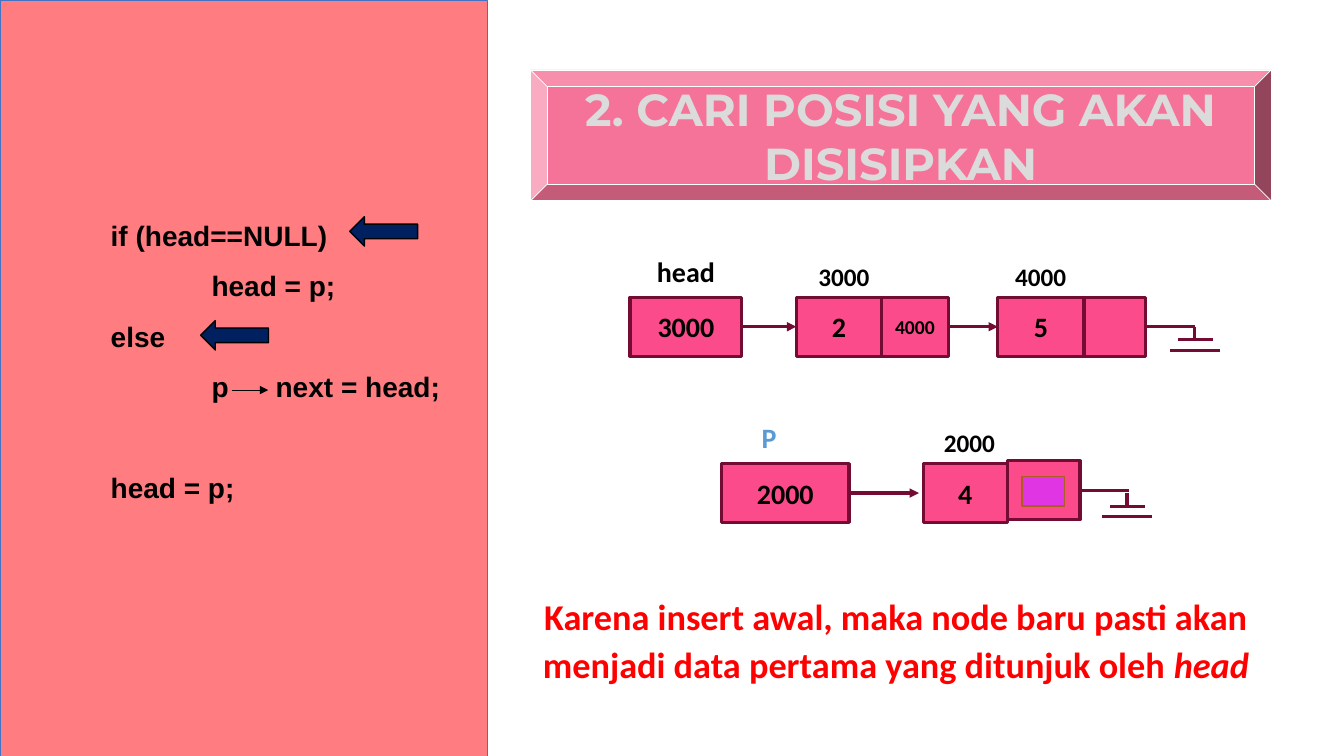
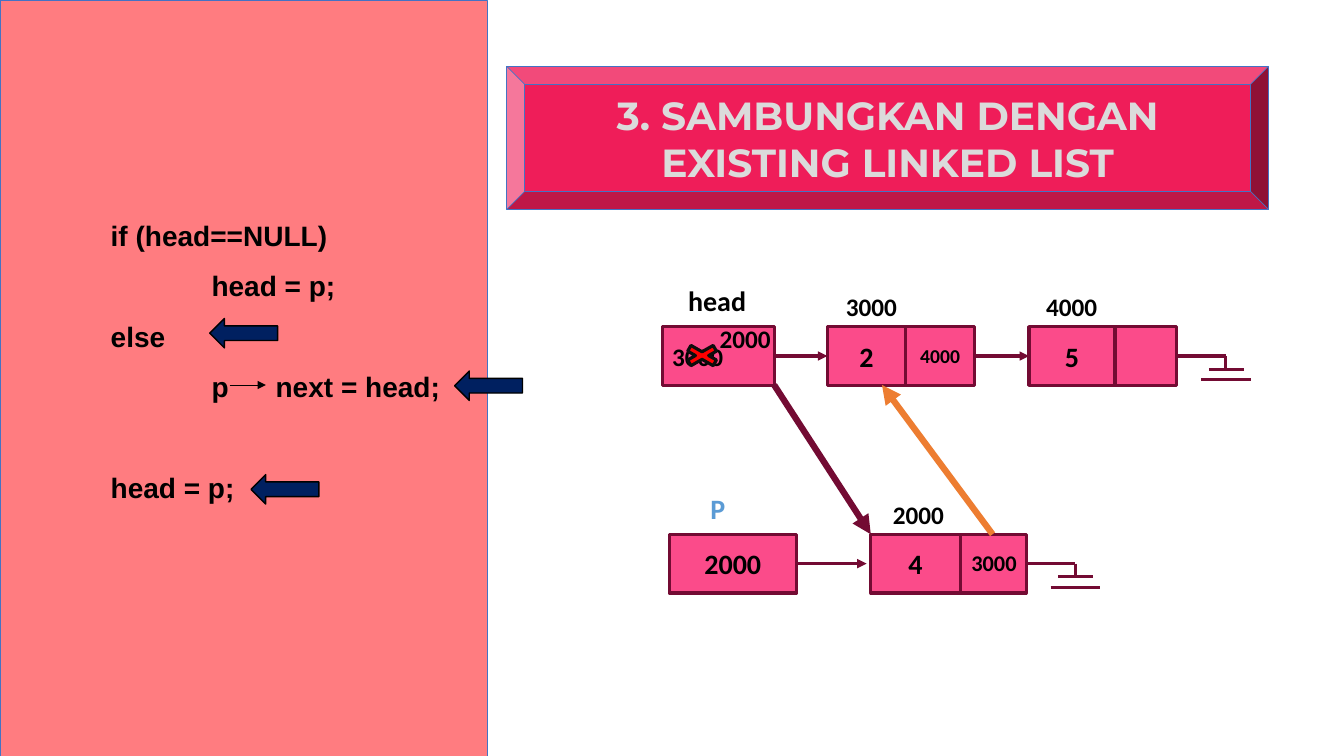
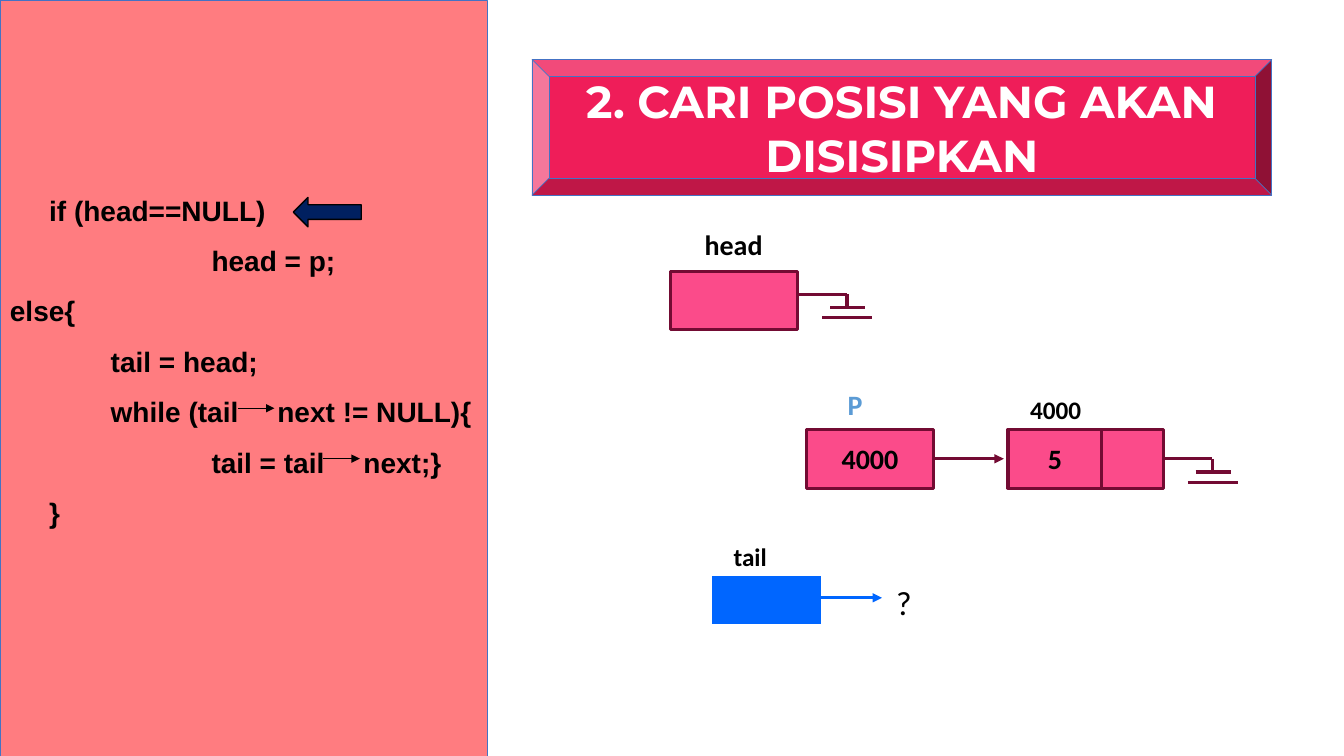
import pptx
import pptx.util
import pptx.dml.color
import pptx.oxml.ns
import pptx.enum.shapes
import pptx.enum.text
import lxml.etree

Pt = pptx.util.Pt
qn = pptx.oxml.ns.qn
KIND = pptx.enum.shapes.MSO_SHAPE
ALIGN = pptx.enum.text.PP_ALIGN
MID = pptx.enum.text.MSO_ANCHOR.MIDDLE
LEFT, MIDDLE = ALIGN.LEFT, ALIGN.CENTER

# Shared look
PINK, WINE, BLUE, BLACK = "FB4B8A", "730B33", "0066FF", "000000"
EDGE, SILVER = "4472C4", "DBDBDB"
HIGH = 42       # height of a node
LINE = 36       # pitch of the code lines
BOLD = dict(name="Calibri", bold=True)
STYLES = {      # font, colour, alignment, line spacing
    "name": (dict(BOLD, size=Pt(20)), BLACK, MIDDLE, 0.9),
    "addr": (dict(BOLD, size=Pt(18)), BLACK, MIDDLE, 1),
    "next": (dict(BOLD, size=Pt(16)), BLACK, MIDDLE, 1),
    "ptr": (dict(BOLD, size=Pt(20)), "5B9BD5", LEFT, 0.9),
    "note": (dict(BOLD, size=Pt(25.9)), "FF0000", MIDDLE, 1.1),
    "ask": (dict(name="Calibri", size=Pt(24)), BLACK, LEFT, 1.5),
}

# Code lines: indent, space before, text; "→" leaves room for a drawn arrow
FRONT = dict(gap=28, lines=[
    (72, 0, "if (head==NULL)"), (144, 0, "head = p;"), (72, 0, "else"),
    (144, 0, "p→next = head;"), (72, LINE, "head = p;")])
BACK = dict(gap=22.2, lines=[
    (28, 0, "if (head==NULL)"), (144, 0, "head = p;"), (0, 0, "else{"),
    (72, 0, "tail = head;"), (72, 0, "while (tail→next != NULL){"),
    (144, 0, "tail = tail→next;}"), (28, 0, "}")])

# Rows: nodes are (left, cells), cells are (width, text, size, alignment)
SLIDES = [
    dict(
        title=((379, 50, 529, 93.5), "F57398", "FFFFFF", SILVER, 32,
               "2. CARI POSISI YANG AKAN DISISIPKAN"),
        code=FRONT, tips=[(165.6, 278.6)],
        marks=[(143.3, 229), (249.8, 154.8)],
        rows=[
            dict(y=212.4, nodes=[
                (450, [(80, "3000", 20)]),
                (568.8, [(61, "2", 20), (47.5, "4000", 14)]),
                (712.8, [(61.5, "5", 20), (44, "", 14)])]),
            dict(y=331.2, gap=3, lift=2, tap=19, shift=(-1.5, 2), nodes=[
                (515.5, [(91, "2000", 20)]),
                (659.5, [(60, "4", 20), (52, "", 14)])])],
        shapes=[(KIND.RECTANGLE, (730, 340.5, 30.5, 21), "DF35E3", "AF5C24", 1)],
        labels=[
            ("ptr", (537, 299.5, 47, 32), "P"),
            ("addr", (665, 301.5, 55, 29), "2000"),
            ("name", (455.8, 180.7, 68.4, 32), "head"),
            ("addr", (572.4, 183, 61, 29), "3000"),
            ("addr", (712.8, 183, 61, 29), "4000"),
            ("note", (365, 417.6, 550, 79), "Karena insert awal, maka node baru pasti "
             "akan menjadi data pertama yang ditunjuk oleh *head")]),
    dict(
        title=((362, 47.5, 544, 102), "EF1D59", EDGE, SILVER, 28,
               "3. SAMBUNGKAN DENGAN EXISTING LINKED LIST"),
        code=FRONT, tips=[(164, 275)],
        marks=[(149.8, 227.5), (324.7, 265), (179.3, 339)],
        rows=[
            dict(y=233.3, nodes=[
                (473, [(80, "3000", 18, LEFT)]),
                (591, [(56, "2", 20), (49, "4000", 14)]),
                (735, [(61.5, "5", 20), (44, "", 14)])]),
            dict(y=381.6, gap=3, nodes=[
                (478, [(91, "2000", 20)]),
                (622, [(64, "4", 20), (47, "", 14)])])],
        shapes=[(KIND.MATH_MULTIPLY, (484, 244, 35, 20), "FF0000", "0D0D0D", 2.25)],
        links=[((709, 381.6, 630, 275), "ED7D31", 4.5),
               ((553, 275, 622, 381.6), WINE, 4.5)],
        labels=[
            ("ptr", (500.4, 350, 47, 32), "P"),
            ("addr", (628.5, 353, 55, 29), "2000"),
            ("name", (478, 201.6, 68.4, 32), "head"),
            ("addr", (592, 204.5, 61, 29), "3000"),
            ("addr", (735, 204.5, 61, 29), "4000"),
            ("addr", (504.7, 227.5, 55, 29), "2000"),
            ("next", (684, 388.8, 52, 27), "3000")]),
    dict(
        title=((380, 42.5, 528.5, 97), "EF1D59", EDGE, "FFFFFF", 32,
               "2. CARI POSISI YANG AKAN DISISIPKAN"),
        code=BACK, tips=[(170, 291.6), (231, 327.6)],
        marks=[(209.5, 141)],
        rows=[
            dict(y=193.7, tap=16.5, nodes=[(479, [(91, "", 20)])]),
            dict(y=306.7, gap=3, nodes=[
                (576, [(91, "4000", 20)]),
                (720, [(67, "5", 20), (44, "", 14)])])],
        shapes=[(KIND.RECTANGLE, (507.6, 410.4, 80, 36.7), BLUE, "FFFFFF", 2.25)],
        links=[((579.6, 427, 630, 427), BLUE, 2.25)],
        labels=[
            ("name", (481, 162, 86, 32), "head"),
            ("ptr", (598.3, 275.8, 47, 32), "P"),
            ("addr", (726.5, 278, 55, 29), "4000"),
            ("addr", (505.4, 383, 61, 29), "tail"),
            ("ask", (633, 397.5, 30, 46), "?")]),
]


def paint(fmt, tone):
    fmt.fill.solid()
    fmt.fill.fore_color.rgb = pptx.dml.color.RGBColor.from_string(tone)


def write(para, text, font, tone, **more):
    run = para.add_run()
    run.text = text
    for key, val in dict(font, **more).items():
        setattr(run.font, key, val)
    paint(run.font, tone)
    return run


def shape(slide, kind, box, fill, edge, width):
    item = slide.shapes.add_shape(kind, *map(Pt, box))
    item.shadow.inherit = False
    paint(item, fill)
    paint(item.line, edge)
    item.line.width = Pt(width)
    item.text_frame.vertical_anchor = MID
    return item


def link(slide, ends, tone=WINE, width=2.25, tip=True):
    item = slide.shapes.add_connector(
        pptx.enum.shapes.MSO_CONNECTOR.STRAIGHT, *map(Pt, ends))
    paint(item.line, tone)
    item.line.width = Pt(width)
    if tip:
        line = item.line._get_or_add_ln()
        lxml.etree.SubElement(line, qn("a:tailEnd"), type="triangle")
    lxml.etree.SubElement(item._element.spPr, qn("a:effectLst"))


def label(slide, style, box, text):
    font, tone, align, space = STYLES[style]
    frame = slide.shapes.add_textbox(*map(Pt, box)).text_frame
    frame.word_wrap = True
    para = frame.paragraphs[0]
    para.alignment, para.line_spacing = align, space
    # Words after "*" are italic
    for num, part in enumerate(text.split("*")):
        write(para, part, font, tone, italic=num > 0)


def title(slide, box, fill, edge, tone, size, text):
    item = shape(slide, KIND.BEVEL, box, fill, edge, 0.5)
    para = item.text_frame.paragraphs[0]
    para.alignment = MIDDLE
    write(para, text, dict(name="Montserrat", bold=True, size=Pt(size)), tone)


def panel(slide, gap, lines):
    item = shape(slide, KIND.RECTANGLE, (0, 0, 348, 540), "FF7C80", EDGE, 0.5)
    frame = item.text_frame
    frame.margin_bottom = Pt(3.6 + LINE)
    font = dict(name="Arial", bold=True, size=Pt(20))
    for num, (left, above, text) in enumerate(lines):
        para = frame.add_paragraph() if num else frame.paragraphs[0]
        para.alignment, para.line_spacing = LEFT, 1.5
        para.space_before = Pt(above)
        para._p.get_or_add_pPr().set("marL", str(Pt(left)))
        for spot, part in enumerate(text.split("→")):
            if spot:
                room = write(para, " ", font, BLACK)
                room._r.get_or_add_rPr().set("spc", str(round(gap * 100)))
            write(para, part, font, BLACK)


def cell(slide, box, text, size, align=MIDDLE):
    item = shape(slide, KIND.RECTANGLE, box, PINK, WINE, 2.25)
    if text:
        para = item.text_frame.paragraphs[0]
        para.alignment = align
        write(para, text, dict(BOLD, size=Pt(size)), BLACK)


def ground(slide, x, y, shift):
    link(slide, (x, y, x + 35, y), tip=False)
    x, y = x + shift[0], y + shift[1]
    for x1, y1, x2, y2 in [(35, 0, 35, 9.4), (23, 9.4, 48, 9.4), (17.5, 16.8, 53, 16.8)]:
        link(slide, (x + x1, y + y1, x + x2, y + y2), tip=False)


def row(slide, y, nodes, gap=0, lift=0, tap=HIGH / 2, shift=(0, 0)):
    end = None
    for left, cells in nodes:
        if end:
            link(slide, (end, y + HIGH / 2, left - gap, y + HIGH / 2))
        end = left
        for num, (width, *rest) in enumerate(cells):
            cell(slide, (end, y - lift * num, width, HIGH), *rest)
            end += width
    ground(slide, end, y + tap, shift)


def main():
    deck = pptx.Presentation()
    deck.slide_width, deck.slide_height = Pt(960), Pt(540)
    for data in SLIDES:
        slide = deck.slides.add_slide(deck.slide_layouts[6])
        title(slide, *data["title"])
        # Code panel with its arrows
        panel(slide, **data["code"])
        for x, y in data["tips"]:
            link(slide, (x, y, x + 26, y), BLACK, 0.5)
        for x, y in data["marks"]:
            shape(slide, KIND.LEFT_ARROW, (x, y, 48.5, 21), "002060", BLACK, 1)
        # Linked list
        for part in data["rows"]:
            row(slide, **part)
        for part in data["shapes"]:
            shape(slide, *part)
        for part in data.get("links", []):
            link(slide, *part)
        for part in data["labels"]:
            label(slide, *part)
    deck.save("out.pptx")


if __name__ == "__main__":
    main()
